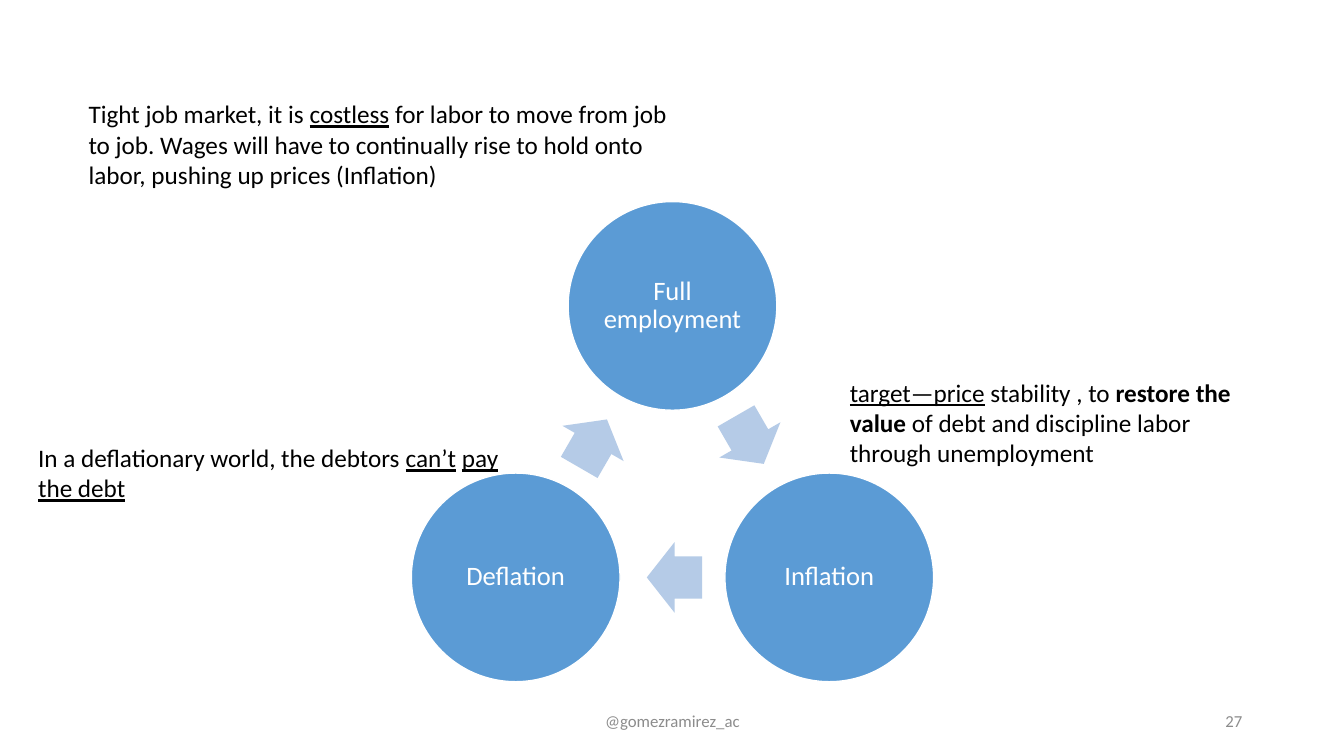
from dataclasses import dataclass
from math import cos, radians, sin

from pptx import Presentation
from pptx.dml.color import RGBColor
from pptx.enum.shapes import MSO_SHAPE
from pptx.enum.text import MSO_ANCHOR, PP_ALIGN
from pptx.util import Inches, Pt


@dataclass(frozen=True)
class Theme:
    font: str = "Calibri"
    circle: RGBColor = RGBColor(0x5B, 0x9B, 0xD5)
    arrow: RGBColor = RGBColor(0xB5, 0xCB, 0xE7)
    light: RGBColor = RGBColor(0xFF, 0xFF, 0xFF)
    dark: RGBColor = RGBColor(0x00, 0x00, 0x00)
    muted: RGBColor = RGBColor(0x8C, 0x8C, 0x8C)
    stage_size: int = 19
    note_size: int = 18
    footer_size: int = 12


THEME = Theme()
UNDERLINE = {"underline": True}
BOLD = {"bold": True}

STAGES = ["Full employment", "Inflation", "Deflation"]
CYCLE_BOX = (4.08, 2, 5.18, 4.76)
CIRCLE_SIZE = 2.07
ARROW_SIZE = (0.55, 0.7)
ARROW_SHIFT = 0.02

NOTES = [
    ((0.28, 0.93, 6.67, 1.31), 0.5, [
        ("Tight job market, it is ", {}),
        ("costless", UNDERLINE),
        (" for labor to move from job to job. Wages will have to continually "
         "rise to hold onto labor, pushing up prices (Inflation)", {}),
    ]),
    ((8.33, 3.69, 4.29, 1.01), 0, [
        ("target—price", UNDERLINE),
        (" stability , to ", {}),
        ("restore the value", BOLD),
        (" of debt and discipline labor through unemployment", {}),
    ]),
    ((0.28, 4.34, 4.9, 0.71), 0, [
        ("In a deflationary world, the debtors ", {}),
        ("can’t", UNDERLINE),
        (" ", {}),
        ("pay the debt", UNDERLINE),
        (" ", {}),
    ]),
]

FOOTERS = [
    ((4.42, 6.95, 4.5, 0.4), "@gomezramirez_ac", PP_ALIGN.CENTER),
    ((9.42, 6.95, 3, 0.4), "27", PP_ALIGN.RIGHT),
]


def apply_format(target, values):
    for name, value in values.items():
        setattr(target, name, value)


def write_text(shape, runs, size, color, frame_format=None, paragraph_format=None):
    frame = shape.text_frame
    apply_format(frame, {"word_wrap": True, **(frame_format or {})})
    paragraph = frame.paragraphs[0]
    apply_format(paragraph, paragraph_format or {})
    for text, font_format in runs:
        run = paragraph.add_run()
        run.text = text
        apply_format(run.font, {"name": THEME.font, "size": Pt(size), **font_format})
        run.font.color.rgb = color
    return paragraph


def add_centered_shape(slide, kind, center_x, center_y, width, height, color):
    shape = slide.shapes.add_shape(
        kind, Inches(center_x - width / 2), Inches(center_y - height / 2),
        Inches(width), Inches(height))
    shape.shadow.inherit = False
    shape.fill.solid()
    shape.fill.fore_color.rgb = color
    shape.line.fill.background()
    return shape


def add_stage(slide, center_x, center_y, name):
    circle = add_centered_shape(slide, MSO_SHAPE.OVAL, center_x, center_y,
                                CIRCLE_SIZE, CIRCLE_SIZE, THEME.circle)
    circle.line.color.rgb = THEME.light
    circle.line.width = Pt(1)
    margins = {f"margin_{side}": Inches(0.03)
               for side in ("left", "top", "right", "bottom")}
    write_text(circle, [(name, {})], THEME.stage_size, THEME.light,
               {**margins, "vertical_anchor": MSO_ANCHOR.MIDDLE},
               {"alignment": PP_ALIGN.CENTER, "line_spacing": 0.9})


def add_cycle(slide, box, stages):
    left, top, width, height = box
    step = 360 / len(stages)
    radius = (width - CIRCLE_SIZE) / 2 / sin(radians(step))
    center_x = left + width / 2
    center_y = top + CIRCLE_SIZE / 2 + radius
    apothem = radius * cos(radians(step / 2))
    for index, name in enumerate(stages):
        angle = radians(index * step - 90)
        add_stage(slide, center_x + radius * cos(angle),
                  center_y + radius * sin(angle), name)
        middle = angle + radians(step / 2)
        rotation = (index + 0.5) * step
        heading = radians(rotation)
        arrow = add_centered_shape(
            slide, MSO_SHAPE.RIGHT_ARROW,
            center_x + apothem * cos(middle) - ARROW_SHIFT * cos(heading),
            center_y + apothem * sin(middle) - ARROW_SHIFT * sin(heading),
            *ARROW_SIZE, THEME.arrow)
        arrow.rotation = rotation
        arrow.adjustments[0] = 0.6
        arrow.adjustments[1] = 0.5


def add_note(slide, box, indent, runs):
    text_box = slide.shapes.add_textbox(*map(Inches, box))
    paragraph = write_text(text_box, runs, THEME.note_size, THEME.dark)
    if indent:
        properties = paragraph._p.get_or_add_pPr()
        properties.set("marL", str(Inches(indent)))
        properties.set("lvl", "1")


def add_footer(slide, box, text, alignment):
    text_box = slide.shapes.add_textbox(*map(Inches, box))
    write_text(text_box, [(text, {})], THEME.footer_size, THEME.muted,
               {"vertical_anchor": MSO_ANCHOR.MIDDLE}, {"alignment": alignment})


def main():
    presentation = Presentation()
    apply_format(presentation, {"slide_width": Inches(13.33),
                                "slide_height": Inches(7.5)})
    slide = presentation.slides.add_slide(presentation.slide_layouts[6])
    add_cycle(slide, CYCLE_BOX, STAGES)
    for note in NOTES:
        add_note(slide, *note)
    for footer in FOOTERS:
        add_footer(slide, *footer)
    presentation.save("out.pptx")


if __name__ == "__main__":
    main()
